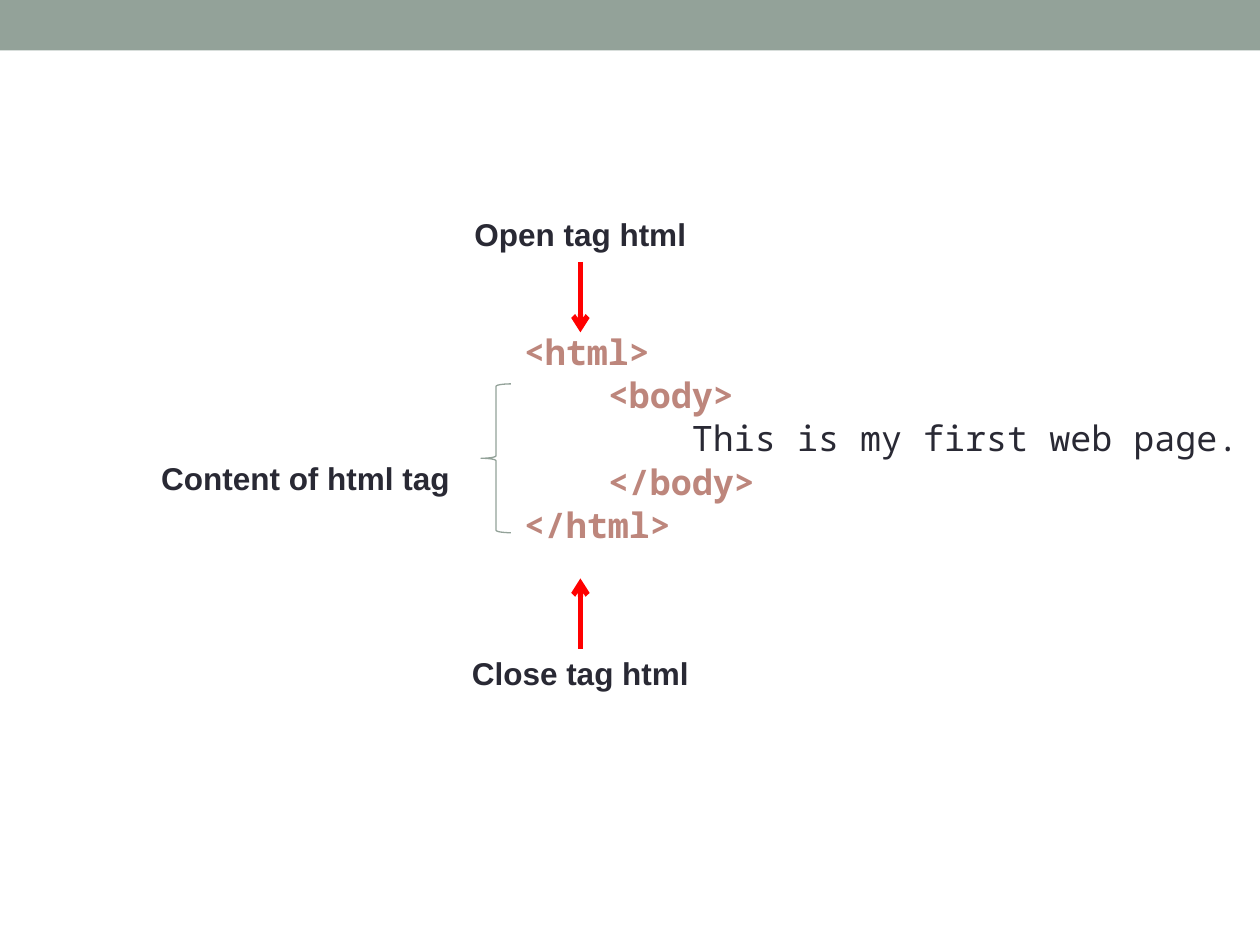
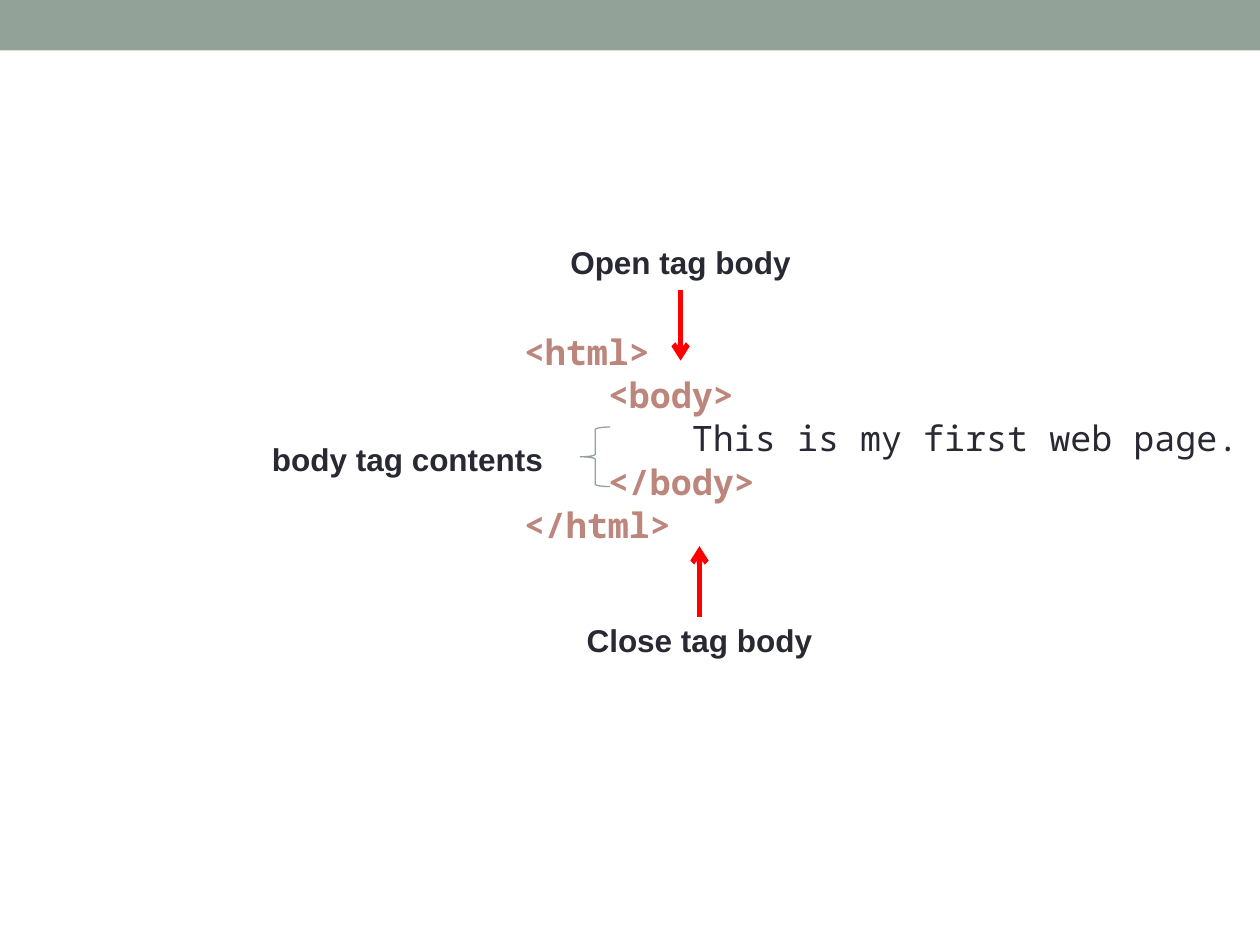
from lxml import etree
from pptx import Presentation
from pptx import util as u
from pptx.dml.color import RGBColor
from pptx.enum import shapes, text
from pptx.oxml.ns import qn

COLORS = {"sage": "93A299", "tag": "BD867C", "ink": "292934", "arrow": "FF0000"}
INDENT = "    "
LABEL_WIDTH, LABEL_HEIGHT = 8.43, 1.02
ARROW_LENGTH = 1.42
LISTING = [
    (0, "<html>", True),
    (1, "<body>", True),
    (2, "This is my first web page.", False),
    (1, "</body>", True),
    (0, "</html>", True),
]


def rgb(key):
    """Return the palette colour called key."""
    return RGBColor.from_string(COLORS[key])


def add_slide(deck):
    """Add a blank slide with the band along its top."""
    slide = deck.slides.add_slide(deck.slide_layouts[6])
    band = slide.shapes.add_shape(shapes.MSO_SHAPE.RECTANGLE, 0, 0, deck.slide_width, u.Cm(1.02))
    band.shadow.inherit = False
    band.fill.solid()
    band.fill.fore_color.rgb = rgb("sage")
    band.line.fill.background()
    return slide


def add_listing(slide):
    """Add the HTML listing with its tags highlighted."""
    box = slide.shapes.add_textbox(u.Cm(10.31), u.Cm(6.53), u.Cm(15.09), u.Cm(8.28))
    frame = box.text_frame
    frame.word_wrap = True
    for number, (depth, code, is_tag) in enumerate(LISTING):
        line = frame.add_paragraph() if number else frame.paragraphs[0]
        line.space_before = u.Pt(0.8 if number else 0)
        line.font.name = "Noto Sans Mono"
        line.font.size = u.Pt(20)
        line.font.bold = is_tag
        line.font.color.rgb = rgb("tag" if is_tag else "ink")
        line.add_run().text = INDENT * depth + code


def add_label(slide, left, top, wording, align):
    """Add a bold one-line label."""
    box = slide.shapes.add_textbox(u.Cm(left), u.Cm(top), u.Cm(LABEL_WIDTH), u.Cm(LABEL_HEIGHT))
    frame = box.text_frame
    frame.word_wrap = True
    frame.auto_size = text.MSO_AUTO_SIZE.SHAPE_TO_FIT_TEXT
    label = frame.paragraphs[0]
    label.alignment = align
    label.font.name = "Arial"
    label.font.size = u.Pt(18)
    label.font.bold = True
    label.font.color.rgb = rgb("ink")
    label.add_run().text = wording


def add_arrow(slide, x, start, end):
    """Add a vertical red arrow pointing at end."""
    arrow = slide.shapes.add_connector(
        shapes.MSO_CONNECTOR.STRAIGHT, u.Cm(x), u.Cm(start), u.Cm(x), u.Cm(end))
    arrow.line.color.rgb = rgb("arrow")
    arrow.line.width = u.Pt(3)
    properties = arrow.element.spPr
    etree.SubElement(properties.find(qn("a:ln")), qn("a:tailEnd"), type="arrow")
    etree.SubElement(properties, qn("a:effectLst"))


def add_open_callout(slide, x, start, wording):
    """Add a label with an arrow pointing down from it."""
    add_arrow(slide, x, start, start + ARROW_LENGTH)
    add_label(slide, x - LABEL_WIDTH / 2, start - 1.07, wording, text.PP_ALIGN.CENTER)


def add_close_callout(slide, x, start, wording):
    """Add a label with an arrow pointing up from it."""
    add_arrow(slide, x, start, start - ARROW_LENGTH)
    add_label(slide, x - LABEL_WIDTH / 2, start - 0.03, wording, text.PP_ALIGN.CENTER)


def add_brace(slide, left, top, height):
    """Add a left brace around the lines inside a tag."""
    brace = slide.shapes.add_shape(
        shapes.MSO_SHAPE.LEFT_BRACE, u.Cm(left), u.Cm(top), u.Cm(0.6), u.Cm(height))
    brace.shadow.inherit = False
    brace.fill.background()
    brace.line.color.rgb = rgb("sage")
    brace.line.width = u.Pt(0.75)


def add_content_label(slide, right, top, wording):
    """Add a label that ends at right, beside the brace."""
    add_label(slide, right - LABEL_WIDTH, top, wording, text.PP_ALIGN.RIGHT)


def main():
    """Build the slides on the html and body tags."""
    deck = Presentation()
    deck.slide_width, deck.slide_height = u.Cm(25.4), u.Cm(19.05)

    html = add_slide(deck)
    add_listing(html)
    add_brace(html, 9.7, 7.74, 3)
    add_content_label(html, 9.32, 9.12, "Content of html tag")
    add_open_callout(html, 11.7, 5.28, "Open tag html")
    add_close_callout(html, 11.7, 13.08, "Close tag html")

    body = add_slide(deck)
    add_listing(body)
    add_brace(body, 11.7, 8.61, 1.2)
    add_content_label(body, 11.2, 8.74, "body tag contents")
    add_open_callout(body, 13.72, 5.85, "Open tag body")
    add_close_callout(body, 14.1, 12.43, "Close tag body")

    deck.save("out.pptx")


if __name__ == "__main__":
    main()
